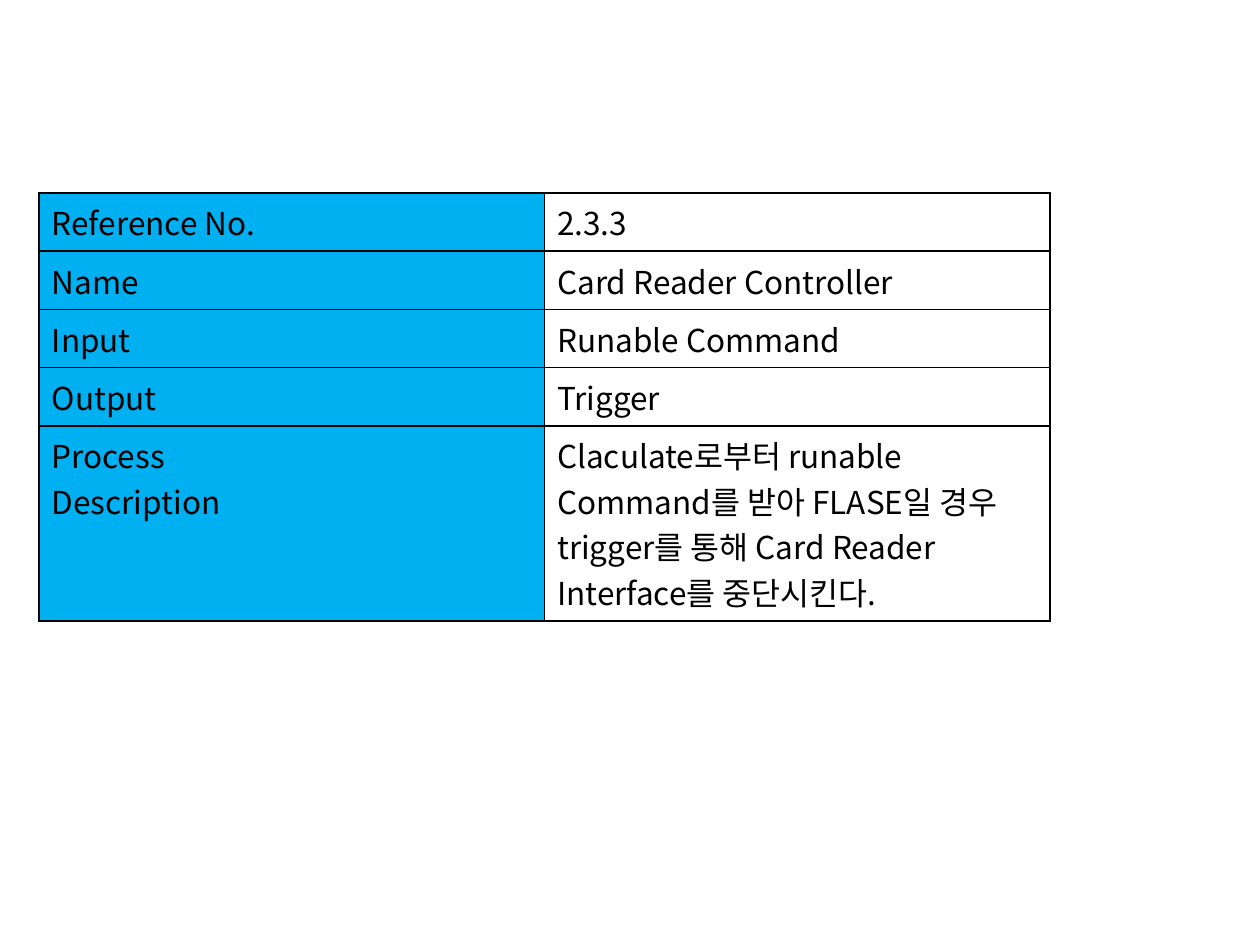
from lxml.etree import SubElement
from pptx import Presentation
from pptx.dml.color import RGBColor
from pptx.oxml import parse_xml
from pptx.oxml.ns import nsdecls, qn
from pptx.util import Cm, Pt

COLORS = {"label": "00B0F0", "text": "000000", "border": "000000"}
FONT = "Noto Sans CJK KR"
PROCESS_ROWS = [
    ("Reference No.", "2.3.3"),
    ("Name", "Card Reader Controller"),
    ("Input", "Runable Command"),
    ("Output", "Trigger"),
    (
        "Process\nDescription",
        "Claculate로부터 runable Command를 받아 FLASE일 경우 trigger를 통해 "
        "Card Reader Interface를 중단시킨다.",
    ),
]
LEFT, TOP = Cm(0.79), Cm(3.89)
COLUMN_WIDTH, ROW_HEIGHT = Cm(10.19), Cm(1.03)


def write_text(text_frame, text, size=18, font=FONT, color=COLORS["text"]):
    text_frame.text = text
    for paragraph in text_frame.paragraphs:
        for run in paragraph.runs:
            run.font.size = Pt(size)
            run.font.name = font
            run.font.color.rgb = RGBColor.from_string(color)
            SubElement(run.font._element, qn("a:ea"), typeface=font)


def add_borders(cell, color=COLORS["border"], width=1):
    properties = cell._tc.get_or_add_tcPr()
    for position, side in enumerate(("lnL", "lnR", "lnT", "lnB")):
        border = parse_xml(
            f'<a:{side} {nsdecls("a")} w="{Pt(width)}"><a:solidFill>'
            f'<a:srgbClr val="{color}"/></a:solidFill></a:{side}>'
        )
        properties.insert(position, border)


def add_process_table(slide):
    row_count, column_count = len(PROCESS_ROWS), len(PROCESS_ROWS[0])
    table = slide.shapes.add_table(
        row_count, column_count, LEFT, TOP,
        COLUMN_WIDTH * column_count, ROW_HEIGHT * row_count,
    ).table
    table.first_row = False
    table.horz_banding = False
    for row_index, texts in enumerate(PROCESS_ROWS):
        for column_index, text in enumerate(texts):
            cell = table.cell(row_index, column_index)
            write_text(cell.text_frame, text)
            if column_index == 0:
                cell.fill.solid()
                cell.fill.fore_color.rgb = RGBColor.from_string(COLORS["label"])
            else:
                cell.fill.background()
            add_borders(cell)


def main():
    presentation = Presentation()
    presentation.slide_width, presentation.slide_height = Cm(25.4), Cm(19.05)
    slide = presentation.slides.add_slide(presentation.slide_layouts[6])
    add_process_table(slide)
    presentation.save("out.pptx")


if __name__ == "__main__":
    main()
